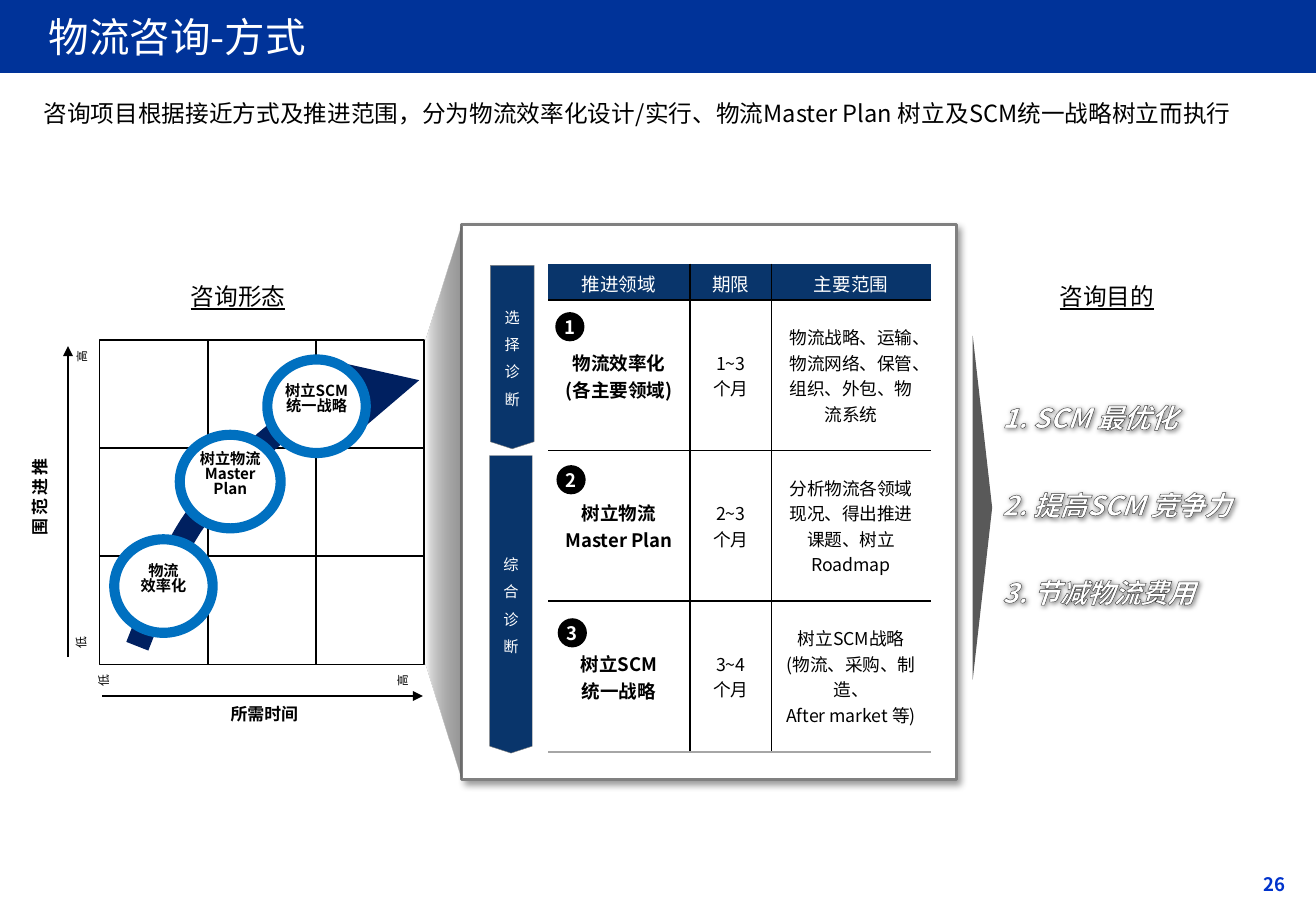
"""Build the logistics consulting approach slide."""
from dataclasses import dataclass

from lxml.etree import SubElement
from pptx import Presentation
from pptx.dml.color import RGBColor
from pptx.enum.shapes import MSO_CONNECTOR, MSO_SHAPE
from pptx.enum.text import MSO_ANCHOR, PP_ALIGN
from pptx.oxml import parse_xml
from pptx.oxml.ns import nsdecls, qn
from pptx.util import Inches, Pt


@dataclass(frozen=True)
class Theme:
    """Hold the font, colours and type sizes of the slide."""
    font: str = "Noto Sans CJK SC"
    banner: str = "003399"
    navy: str = "09356B"
    trend: str = "002060"
    ring: str = "0070C0"
    page: str = "0033CC"
    black: str = "000000"
    white: str = "FFFFFF"
    grey: str = "808080"
    pale: str = "A6A6A6"
    wedge: str = "595959"
    outline: str = "404040"
    title_size: float = 24
    goal_size: float = 16
    heading_size: float = 14
    table_size: float = 11
    detail_size: float = 10.5
    axis_size: float = 10
    label_size: float = 9
    tick_size: float = 7


THEME = Theme()


def write(frame, text, size, color=THEME.black, align=PP_ALIGN.LEFT, bold=False,
          italic=False, underline=False, spacing=None):
    """Fill a text frame with one styled paragraph per line of text."""
    frame.text = text
    for paragraph in frame.paragraphs:
        paragraph.alignment = align
        if spacing:
            paragraph.line_spacing = spacing
        font = paragraph.font
        font.name, font.size = THEME.font, Pt(size)
        font.bold, font.italic, font.underline = bold, italic, underline
        font.color.rgb = RGBColor.from_string(color)
        defaults = paragraph._p.pPr.find(qn("a:defRPr"))
        SubElement(defaults, qn("a:ea"), typeface=THEME.font)


def set_insets(frame, horizontal, vertical):
    """Set the side and the top and bottom margins of a text frame."""
    frame.margin_left = frame.margin_right = Inches(horizontal)
    frame.margin_top = frame.margin_bottom = Inches(vertical)


def add_text(slide, box, text, size, insets=(0.1, 0.05), wrap=True, **style):
    """Add a vertically centred text box."""
    holder = slide.shapes.add_textbox(*map(Inches, box))
    frame = holder.text_frame
    frame.word_wrap, frame.vertical_anchor = wrap, MSO_ANCHOR.MIDDLE
    set_insets(frame, *insets)
    write(frame, text, size, **style)
    return holder


def paint(shape, fill=None, line=None, width=1):
    """Set the fill and line of a shape and remove its shadow."""
    shape.shadow.inherit = False
    if fill:
        shape.fill.solid()
        shape.fill.fore_color.rgb = RGBColor.from_string(fill)
    else:
        shape.fill.background()
    if line:
        shape.line.color.rgb = RGBColor.from_string(line)
        shape.line.width = Pt(width)
    else:
        shape.line.fill.background()


def add_block(slide, kind, box, fill=None, line=None, width=1):
    """Add a painted preset shape."""
    block = slide.shapes.add_shape(kind, *map(Inches, box))
    paint(block, fill, line, width)
    return block


def add_shadow(shape, blur, distance, opacity):
    """Give a shape a soft shadow to the lower right."""
    effects = shape.element.spPr.find(qn("a:effectLst"))
    if effects is None:
        effects = SubElement(shape.element.spPr, qn("a:effectLst"))
    shadow = SubElement(effects, qn("a:outerShdw"), blurRad=str(Pt(blur)),
                        dist=str(Pt(distance)), dir="2700000", algn="tl", rotWithShape="0")
    color = SubElement(shadow, qn("a:srgbClr"), val=THEME.black)
    SubElement(color, qn("a:alpha"), val=str(opacity * 1000))


def add_arrowhead(shape):
    """Put a triangle at the end of a line."""
    SubElement(shape.line._get_or_add_ln(), qn("a:tailEnd"), type="triangle")


def add_axis(slide, start, end):
    """Add an axis arrow."""
    axis = slide.shapes.add_connector(MSO_CONNECTOR.STRAIGHT, *map(Inches, start + end))
    axis.line.color.rgb = RGBColor.from_string(THEME.black)
    axis.line.width = Pt(1)
    add_arrowhead(axis)
    SubElement(axis.element.spPr, qn("a:effectLst"))


def add_turned_label(slide, box, text, size, bold=False):
    """Add a vertical label turned by a quarter."""
    label = add_text(slide, box, text, size, insets=(0, 0), bold=bold)
    label.rotation = 270
    label.text_frame.vertical_anchor = MSO_ANCHOR.BOTTOM
    label.text_frame._txBody.bodyPr.set("vert", "eaVert")


def add_outline(slide, points, close):
    """Add a freeform through points given in inches."""
    start, *rest = [tuple(map(Inches, point)) for point in points]
    builder = slide.shapes.build_freeform(*start)
    builder.add_line_segments(rest, close=close)
    return builder.convert_to_shape()


def bezier(points, steps=16):
    """Sample a cubic curve after its first point."""
    weights = [((1 - t) ** 3, 3 * t * (1 - t) ** 2, 3 * t * t * (1 - t), t ** 3)
               for t in (step / steps for step in range(1, steps + 1))]
    return [tuple(sum(w * p[axis] for w, p in zip(row, points)) for axis in (0, 1))
            for row in weights]


def add_matrix(slide):
    """Add the grid of consulting types with its axes, trend and stages."""
    for row in range(3):
        for column in range(3):
            add_block(slide, MSO_SHAPE.RECTANGLE,
                      (0.82 + 0.89 * column, 2.8 + 0.89 * row, 0.89, 0.89),
                      THEME.white, THEME.black)
    add_axis(slide, (0.84, 5.73), (3.48, 5.73))
    add_axis(slide, (0.56, 5.41), (0.56, 2.85))
    add_text(slide, (1.65, 5.79, 1.05, 0.17), "所需时间", THEME.axis_size,
             insets=(0, 0), bold=True, align=PP_ALIGN.CENTER)
    add_turned_label(slide, (0.06, 3.96, 0.67, 0.27), "推进范围", THEME.axis_size, True)
    for text, box in (("低", (0.63, 5.22, 0.12, 0.14)), ("高", (0.63, 2.87, 0.12, 0.13)),
                      ("低", (0.86, 5.49, 0.12, 0.23)), ("高", (3.32, 5.49, 0.12, 0.23))):
        add_turned_label(slide, box, text, THEME.tick_size)
    start, bend = (1.13, 5.32), (1.88, 3.97)
    curve = [start, *bezier([start, (1.35, 4.77), (1.47, 4.33), bend]),
             *bezier([bend, (2.44, 3.26), (2.85, 3.3), (3.45, 3.13)])]
    trend = add_outline(slide, curve, close=False)
    paint(trend, line=THEME.trend, width=14)
    add_arrowhead(trend)
    for text, left, top, width in (("树立SCM\n统一战略", 2.2, 2.96, 0.81),
                                   ("树立物流\nMaster Plan", 1.48, 3.58, 0.83),
                                   ("物流\n效率化", 0.94, 4.44, 0.81)):
        add_block(slide, MSO_SHAPE.OVAL, (left, top, width, 0.77), THEME.white, THEME.ring, 6)
        add_text(slide, (left, top + 0.13, width, 0.4), text, THEME.label_size, wrap=False,
                 bold=True, align=PP_ALIGN.CENTER, spacing=0.84)


def add_diagnosis(slide, box, text):
    """Add a downward diagnosis arrow."""
    arrow = add_block(slide, MSO_SHAPE.RIGHT_ARROW, box, THEME.navy, THEME.grey, 0.25)
    arrow.adjustments[0], arrow.adjustments[1] = 1, 0.161
    arrow.rotation = 90
    frame = arrow.text_frame
    frame.word_wrap, frame.vertical_anchor = True, MSO_ANCHOR.MIDDLE
    set_insets(frame, 0.04, 0.05)
    frame._txBody.bodyPr.set("vert", "vert270")
    write(frame, text, THEME.label_size, THEME.white, PP_ALIGN.CENTER, spacing=1.5)


def set_borders(cell, **colors):
    """Set the four borders of a cell, leaving out those without a colour."""
    for side in "LRTB":
        border = SubElement(cell._tc.get_or_add_tcPr(), qn(f"a:ln{side}"), w=str(Pt(1)))
        if colors.get(side):
            fill = SubElement(border, qn("a:solidFill"))
            SubElement(fill, qn("a:srgbClr"), val=colors[side])
        else:
            SubElement(border, qn("a:noFill"))


def add_scope_table(slide):
    """Add the table of areas, periods and scopes with its numbers."""
    rows = (("推进领域", "期限", "主要范围"),
            ("物流效率化\n(各主要领域)", "1~3\n个月", "物流战略、运输、物流网络、保管、组织、外包、物流系统"),
            ("树立物流\nMaster Plan", "2~3\n个月", "分析物流各领域现况、得出推进课题、树立\nRoadmap"),
            ("树立SCM\n统一战略", "3~4\n个月", "树立SCM战略\n(物流、采购、制造、\nAfter market 等)"))
    table = slide.shapes.add_table(4, 3, *map(Inches, (4.51, 2.17, 3.15, 4.01))).table
    table.first_row = table.horz_banding = False
    for column, width in zip(table.columns, (1.17, 0.67, 1.31)):
        column.width = Inches(width)
    for r, texts in enumerate(rows):
        table.rows[r].height = Inches(1.24 if r else 0.3)
        for c, text in enumerate(texts):
            cell = table.cell(r, c)
            set_borders(cell, L=THEME.black if c else None, R=THEME.black if c < 2 else None,
                        T=THEME.black if r else None, B=THEME.black if r < 3 else THEME.pale)
            cell.fill.solid()
            cell.fill.fore_color.rgb = RGBColor.from_string(THEME.white if r else THEME.navy)
            cell.vertical_anchor = MSO_ANCHOR.MIDDLE
            write(cell.text_frame, text, THEME.detail_size if r and c else THEME.table_size,
                  THEME.black if r else THEME.white, PP_ALIGN.CENTER, bold=bool(r and not c))
    for index in range(3):
        badge = add_block(slide, MSO_SHAPE.OVAL,
                          (4.57 + 0.01 * index, 2.57 + 1.26 * index, 0.24, 0.24), THEME.black)
        set_insets(badge.text_frame, 0, 0)
        badge.text_frame.vertical_anchor = MSO_ANCHOR.MIDDLE
        write(badge.text_frame, str(index + 1), THEME.table_size, THEME.white,
              PP_ALIGN.CENTER, bold=True)


def add_funnel(slide):
    """Add the shaded funnel from the matrix to the panel."""
    funnel = add_outline(slide, [(3.8, 1.85), (3.8, 6.42), (3.5, 5.46), (3.5, 2.81)], close=True)
    paint(funnel)
    stops = "".join(f'<a:gs pos="{position}000"><a:srgbClr val="{color}">'
                    f'<a:alpha val="{opacity}000"/></a:srgbClr></a:gs>'
                    for position, color, opacity in
                    ((0, "5B5B5B", 62), (86, "D7D7D7", 100), (100, THEME.white, 100)))
    properties = funnel.element.spPr
    properties.replace(properties.find(qn("a:noFill")), parse_xml(
        f'<a:gradFill {nsdecls("a")}><a:gsLst>{stops}</a:gsLst>'
        '<a:lin ang="10800000" scaled="0"/></a:gradFill>'))


def add_goal(slide, box, text):
    """Add an outlined goal with a soft shadow."""
    goal = add_text(slide, box, text, THEME.goal_size, color=THEME.white, bold=True, italic=True)
    defaults = goal.text_frame.paragraphs[0]._p.pPr.find(qn("a:defRPr"))
    defaults.insert(0, parse_xml(
        f'<a:ln {nsdecls("a")} w="{Pt(0.75)}"><a:solidFill>'
        f'<a:srgbClr val="{THEME.outline}"/></a:solidFill></a:ln>'))
    add_shadow(goal, 3, 1, 50)


def add_title(slide):
    """Add the banner and place the title on it."""
    banner = add_block(slide, MSO_SHAPE.RECTANGLE, (0, 0, 10.83, 0.6), THEME.banner)
    title = slide.shapes.title
    title.element.addprevious(banner.element)
    title.left, title.top, title.width, title.height = map(Inches, (0.3, 0.05, 5.12, 0.5))
    title.text_frame.vertical_anchor = MSO_ANCHOR.MIDDLE
    write(title.text_frame, "物流咨询-方式", THEME.title_size, THEME.white)


def main():
    """Build and save the slide."""
    deck = Presentation()
    deck.slide_width, deck.slide_height = Inches(10.83), Inches(7.5)
    slide = deck.slides.add_slide(deck.slide_layouts[5])
    add_title(slide)
    panel = add_block(slide, MSO_SHAPE.RECTANGLE, (3.8, 1.85, 4.07, 4.57),
                      THEME.white, THEME.grey, 1.5)
    add_shadow(panel, 4, 3, 40)
    add_matrix(slide)
    add_diagnosis(slide, (3.46, 2.76, 1.51, 0.36), "选择诊断")
    add_diagnosis(slide, (2.98, 4.8, 2.45, 0.35), "综合诊断")
    add_funnel(slide)
    add_scope_table(slide)
    add_text(slide, (0.26, 0.76, 10.32, 0.34),
             "咨询项目根据接近方式及推进范围，分为物流效率化设计/实行、物流Master Plan 树立及SCM统一战略树立而执行",
             THEME.heading_size)
    wedge = add_block(slide, MSO_SHAPE.ISOSCELES_TRIANGLE, (6.67, 4.1, 2.83, 0.16), THEME.wedge)
    wedge.rotation = 90
    for left, heading in ((8.61, "咨询目的"), (1.46, "咨询形态")):
        add_text(slide, (left, 2.26, 1.01, 0.35), heading, THEME.heading_size,
                 insets=(0.11, 0.06), wrap=False, underline=True)
    for index, goal in enumerate(("1. SCM 最优化", "2. 提高SCM 竞争力", "3. 节减物流费用")):
        add_goal(slide, (8.15, 3.25 + 0.72 * index, 2.56, 0.37), goal)
    add_text(slide, (8.42, 7.03, 2.26, 0.5), "26", THEME.table_size, color=THEME.page,
             bold=True, align=PP_ALIGN.RIGHT)
    deck.save("out.pptx")


if __name__ == "__main__":
    main()
